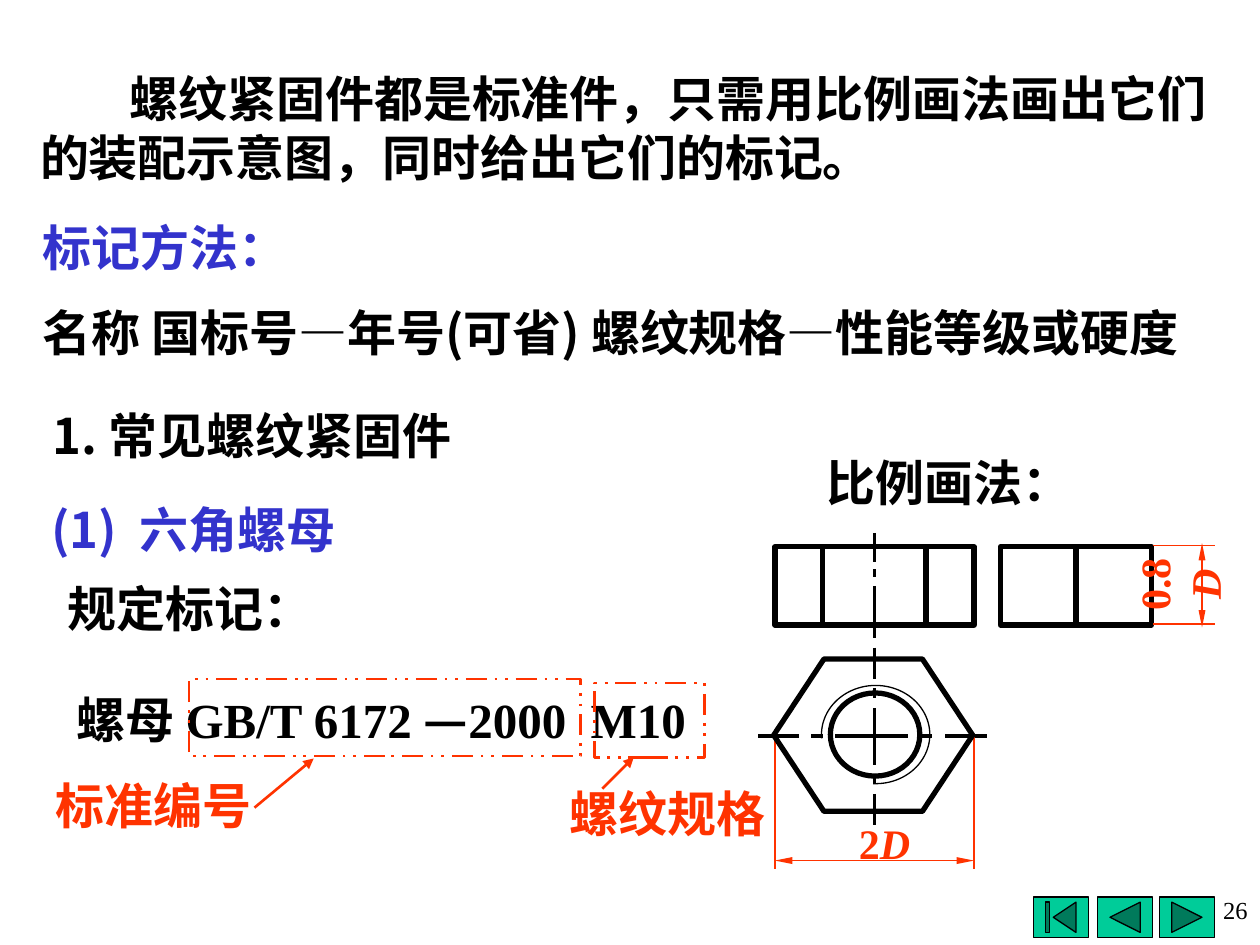
"""Build the slide on marking and proportional drawing of threaded fasteners."""
from lxml import etree
from pptx import Presentation
from pptx.dml.color import RGBColor
from pptx.enum import dml, shapes, text
from pptx.oxml import ns
from pptx.util import Inches, Pt

COLORS = {"black": "000000", "blue": "3333CC", "red": "FF3300", "green": "00CC99"}
SERIF, SANS = "Times New Roman", "Noto Sans CJK SC"
SHAPE = shapes.MSO_SHAPE
MIDDLE, TOP = text.MSO_ANCHOR.MIDDLE, text.MSO_ANCHOR.TOP
LEFT, CENTER, RIGHT = text.PP_ALIGN.LEFT, text.PP_ALIGN.CENTER, text.PP_ALIGN.RIGHT
AXIS_X, AXIS_Y = 6.94, 5.84


def color(name):
    """Return a named colour."""
    return RGBColor.from_string(COLORS[name])


def add_span(para, words, ink, face=SERIF, **formats):
    """Add one run, with the East Asian face set as well."""
    span = para.add_run()
    span.text = words
    span.font.color.rgb = color(ink)
    for key, value in {"name": face, "size": Pt(28), "bold": True, **formats}.items():
        setattr(span.font, key, value)
    properties = span.font._element
    east = etree.SubElement(properties, ns.qn("a:ea"))
    east.set("typeface", SANS)


def add_text(page, place, spans, ink="black", align=LEFT, anchor=MIDDLE, wrap=True):
    """Add a text box with one paragraph of (words, formats) spans."""
    box = page.shapes.add_textbox(*map(Inches, place))
    frame = box.text_frame
    for key, value in {"word_wrap": wrap, "vertical_anchor": anchor}.items():
        setattr(frame, key, value)
    para = frame.paragraphs[0]
    para.alignment = align
    for words, formats in spans:
        add_span(para, words, ink, **formats)
    return box


def add_outline(page, kind, place, ink="black", width=3, fill=None):
    """Add a preset shape, unfilled unless a fill is given."""
    shape = page.shapes.add_shape(kind, *map(Inches, place))
    shape.shadow.inherit = False
    if fill:
        shape.fill.solid()
        shape.fill.fore_color.rgb = color(fill)
    else:
        shape.fill.background()
    shape.line.color.rgb = color(ink)
    shape.line.width = Pt(width)
    return shape


def add_line(page, start, end, ink="black", width=0, arrows=(), size=("med", "med")):
    """Add a straight line with optional arrowheads."""
    ends = map(Inches, (*start, *end))
    line = page.shapes.add_connector(shapes.MSO_CONNECTOR.STRAIGHT, *ends)
    line.line.color.rgb = color(ink)
    line.line.width = Pt(width)
    stroke = line.line._get_or_add_ln()
    for name in arrows:
        head = etree.SubElement(stroke, ns.qn(f"a:{name}"))
        for key, value in zip(("type", "w", "len"), ("triangle", *size)):
            head.set(key, value)
    etree.SubElement(line._element.spPr, ns.qn("a:effectLst"))


def add_dimension(page, start, end):
    """Add a red dimension line with slim arrowheads at both ends."""
    add_line(page, start, end, "red", 1, ("headEnd", "tailEnd"), ("sm", "lg"))


def add_buttons(page):
    """Add the navigation buttons."""
    for kind, left in ((SHAPE.ACTION_BUTTON_FORWARD_OR_NEXT, 9.2),
                       (SHAPE.ACTION_BUTTON_BACK_OR_PREVIOUS, 8.71),
                       (SHAPE.ACTION_BUTTON_BEGINNING, 8.2)):
        add_outline(page, kind, (left, 7.12, 0.44, 0.32), width=0.75, fill="green")


def add_explanation(page):
    """Add the introduction, the marking method and the headings."""
    intro = "螺纹紧固件都是标准件，只需用比例画法画出它们的装配示意图，同时给出它们的标记。"
    box = add_text(page, (0.22, 0.4, 9.67, 1.22), [(intro, {})])
    box.text_frame.paragraphs[0]._p.get_or_add_pPr().set("indent", str(Inches(0.71)))
    box = add_text(page, (0.24, 1.68, 9.76, 1.34), [("标记方法：", {})], "blue", anchor=TOP)
    rule = box.text_frame.add_paragraph()
    rule.space_before = Pt(15)
    add_span(rule, "名称 国标号—年号(可省) 螺纹规格—性能等级或硬度", "black", SANS)
    add_text(page, (0.32, 3.17, 4.92, 0.57),
             [("1. ", {"face": SANS}), ("常见螺纹紧固件", {})], anchor=TOP)
    add_text(page, (0.31, 3.91, 3.26, 0.57),
             [("(1)  ", {"face": SANS}), ("六角螺母", {})], "blue")
    for words, left, top in (("规定标记：", 0.44, 4.54), ("比例画法：", 6.46, 3.54)):
        add_text(page, (left, top, 2.14, 0.57), [(words, {})], align=CENTER, wrap=False)


def add_marking(page):
    """Add the sample marking with its framed and labelled parts."""
    add_text(page, (0.51, 5.42, 5.31, 0.57),
             [("螺母 GB/T 6172 ", {}), ("—", {"face": SANS}), ("2000  M10", {})])
    for frame, label, words, start, end in (
            ((1.5, 5.39, 3.11, 0.61), (0.27, 6.1, 1.9, 0.57), "标准编号", (2.02, 6.41), (2.49, 6.02)),
            ((4.72, 5.42, 0.87, 0.59), (4.42, 6.17, 1.75, 0.57), "螺纹规格", (4.78, 6.26), (5.03, 6.01))):
        border = add_outline(page, SHAPE.RECTANGLE, frame, "red", 1.5)
        border.line.dash_style = dml.MSO_LINE.DASH_DOT_DOT
        add_text(page, label, [(words, {})], "red", CENTER, wrap=False)
        add_line(page, start, end, "red", 1.5, ("tailEnd",))


def add_axes(page):
    """Add the chain-dotted centre lines of the nut."""
    for top, bottom in ((4.23, 4.46), (4.52, 4.58), (4.65, 5.06), (5.14, 5.39),
                        (5.46, 5.54), (5.62, 6.07), (6.14, 6.22), (6.3, 6.55)):
        add_line(page, (AXIS_X, top), (AXIS_X, bottom))
    for left, right in ((6.02, 6.34), (6.44, 6.53), (6.63, 7.21), (7.3, 7.4), (7.5, 7.83)):
        add_line(page, (left, AXIS_Y), (right, AXIS_Y))


def add_nut(page):
    """Add the three views of the nut with their dimensions."""
    add_axes(page)
    for left, width, edges in ((6.15, 1.58, (6.53, 7.35)), (7.94, 1.2, (8.54,))):
        add_outline(page, SHAPE.RECTANGLE, (left, 4.34, width, 0.62))
        for edge in edges:
            add_line(page, (edge, 4.34), (edge, 4.96), width=3)
    for left in (6.15, 7.73):
        add_line(page, (left, 5.85), (left, 6.9), "red", 1)
    for top in (4.33, 4.95):
        add_line(page, (9.15, top), (9.64, top), "red", 1)
    add_dimension(page, (6.15, 6.83), (7.73, 6.83))
    add_dimension(page, (9.54, 4.31), (9.54, 4.98))
    for factor, place, turn in (("2", (6.68, 6.44, 0.68, 0.5), 0),
                                ("0.8", (8.93, 4.39, 0.85, 0.5), 270)):
        spans = [(factor, {"size": Pt(24)}), ("D", {"size": Pt(24), "italic": True})]
        add_text(page, place, spans, "red", CENTER, wrap=False).rotation = turn
    add_outline(page, SHAPE.OVAL, (6.59, 5.5, 0.71, 0.66))
    hexagon = add_outline(page, SHAPE.HEXAGON, (6.14, 5.23, 1.58, 1.21))
    hexagon.adjustments[0] = 0.33
    thread = add_outline(page, SHAPE.ARC, (6.52, 5.44, 0.86, 0.78), width=0.75)
    for index, degrees in enumerate((176, 93)):
        thread.adjustments[index] = degrees * 0.6


def main():
    """Build and save the deck."""
    deck = Presentation()
    deck.slide_width, deck.slide_height = Inches(10), Inches(7.5)
    page = deck.slides.add_slide(deck.slide_layouts[6])
    add_buttons(page)
    add_explanation(page)
    add_marking(page)
    add_nut(page)
    add_text(page, (7.48, 7.05, 2.52, 0.45),
             [("26", {"size": Pt(14), "bold": False})], align=RIGHT, anchor=TOP)
    deck.save("out.pptx")


if __name__ == "__main__":
    main()
